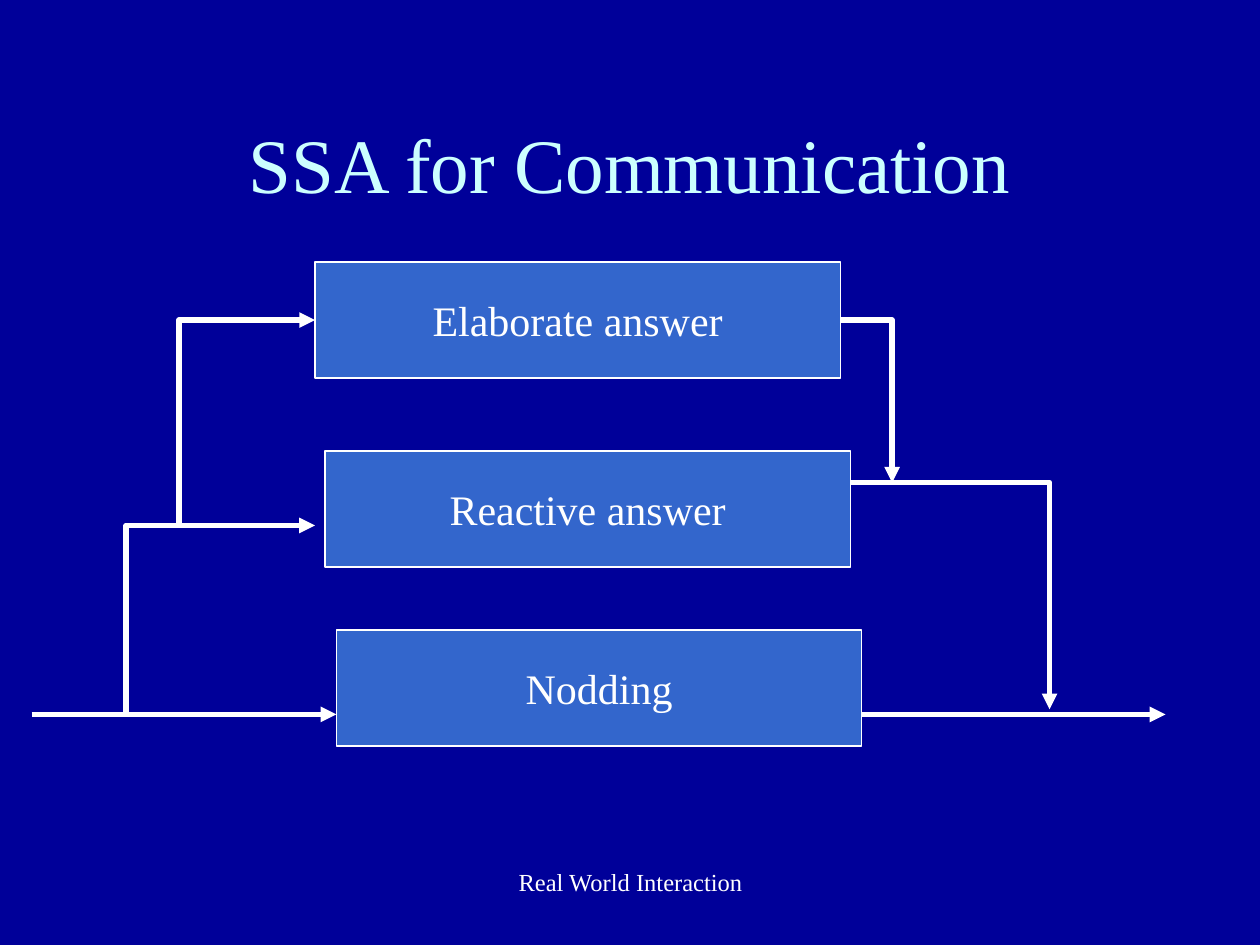
from lxml import etree
from pptx import Presentation
from pptx.dml.color import RGBColor
from pptx.enum.shapes import MSO_CONNECTOR as CONNECTOR, MSO_SHAPE as SHAPE
from pptx.enum.text import MSO_ANCHOR as ANCHOR, PP_ALIGN as ALIGN
from pptx.oxml.ns import qn
from pptx.util import Inches, Pt

COLORS = {"background": "000099", "title": "CCFFFF", "box": "3366CC", "white": "FFFFFF"}
FONT = "Times New Roman"
BOX_W, BOX_H = 4.17, 0.92


def rgb(name):
    return RGBColor.from_string(COLORS[name])


def write(sp, text, size, color="white", anchor=ANCHOR.MIDDLE, wrap=True):
    tf = sp.text_frame
    tf.word_wrap = wrap
    tf.vertical_anchor = anchor
    p = tf.paragraphs[0]
    p.text = text
    p.alignment = ALIGN.CENTER
    p.font.name = FONT
    p.font.size = Pt(size)
    p.font.color.rgb = rgb(color)


def add_title(s, x, y, w, h):
    sp = s.shapes.title
    sp.left, sp.top, sp.width, sp.height = map(Inches, (x, y, w, h))
    write(sp, "SSA for Communication", 44, "title")


def add_layer(s, text, x, y):
    sp = s.shapes.add_shape(SHAPE.RECTANGLE, Inches(x), Inches(y), Inches(BOX_W), Inches(BOX_H))
    sp.shadow.inherit = False
    sp.fill.solid()
    sp.fill.fore_color.rgb = rgb("box")
    sp.line.color.rgb = rgb("white")
    sp.line.width = Pt(0.75)
    write(sp, text, 24, wrap=False)


def add_arrow(s, kind, x1, y1, x2, y2):
    cx = s.shapes.add_connector(kind, *map(Inches, (x1, y1, x2, y2)))
    cx.line.color.rgb = rgb("white")
    cx.line.width = Pt(3)
    etree.SubElement(cx.line._get_or_add_ln(), qn("a:tailEnd"), type="triangle")
    etree.SubElement(cx._element.spPr, qn("a:effectLst"))
    return cx


def add_elbow(s, x1, y1, x2, y2):
    """Arrow with one corner, running sideways first and then vertically."""
    cx = add_arrow(s, CONNECTOR.ELBOW, x1, y1, x2, y2)
    cx._element.spPr.find(qn("a:prstGeom")).set("prst", "bentConnector2")
    return cx


def add_rising_elbow(s, x1, y1, x2, y2):
    """Arrow that rises first and then runs right: a flipped elbow turned by 90 degrees."""
    mid_x, mid_y = (x1 + x2) / 2, (y1 + y2) / 2
    half_w, half_h = (y1 - y2) / 2, (x2 - x1) / 2
    cx = add_elbow(s, mid_x + half_w, mid_y + half_h, mid_x - half_w, mid_y - half_h)
    cx._element.spPr.find(qn("a:xfrm")).set("rot", str(90 * 60000))


def add_diagram(s, x, y, w, h):
    """Three stacked layers, with the input path on the left and the output path on the right."""
    elaborate_x, reactive_x, nodding_x = x + 2.25, x + 2.33, x + 2.42
    reactive_y, nodding_y = y + 1.5, y + h - BOX_H
    add_layer(s, "Nodding", nodding_x, nodding_y)
    add_layer(s, "Reactive answer", reactive_x, reactive_y)
    add_layer(s, "Elaborate answer", elaborate_x, y)

    base_y = nodding_y + 0.67
    elaborate_mid = y + BOX_H / 2
    reactive_in, reactive_out = reactive_y + 0.59, reactive_y + 0.25
    add_arrow(s, CONNECTOR.STRAIGHT, x, base_y, nodding_x, base_y)
    add_arrow(s, CONNECTOR.STRAIGHT, nodding_x + BOX_W, base_y, x + w, base_y)
    add_rising_elbow(s, x + 0.75, base_y - 0.02, elaborate_x, reactive_in)
    add_rising_elbow(s, x + 1.17, reactive_in - 0.02, elaborate_x, elaborate_mid)
    add_elbow(s, reactive_x + BOX_W, reactive_out, x + 8.08, base_y - 0.04)
    add_elbow(s, elaborate_x + BOX_W, elaborate_mid, x + 6.83, reactive_out)


def add_footer(s, x, y, w, h):
    sp = s.shapes.add_textbox(*map(Inches, (x, y, w, h)))
    write(sp, "Real World Interaction", 14, anchor=ANCHOR.TOP)


def main():
    prs = Presentation()
    prs.slide_width, prs.slide_height = Inches(10), Inches(7.5)
    s = prs.slides.add_slide(prs.slide_layouts[5])
    s.background.fill.solid()
    s.background.fill.fore_color.rgb = rgb("background")
    add_title(s, 0.75, 0.67, 8.5, 1.25)
    add_diagram(s, 0.25, 2.08, 9, 3.84)
    add_footer(s, 3.42, 6.83, 3.17, 0.5)
    prs.save("out.pptx")


if __name__ == "__main__":
    main()
